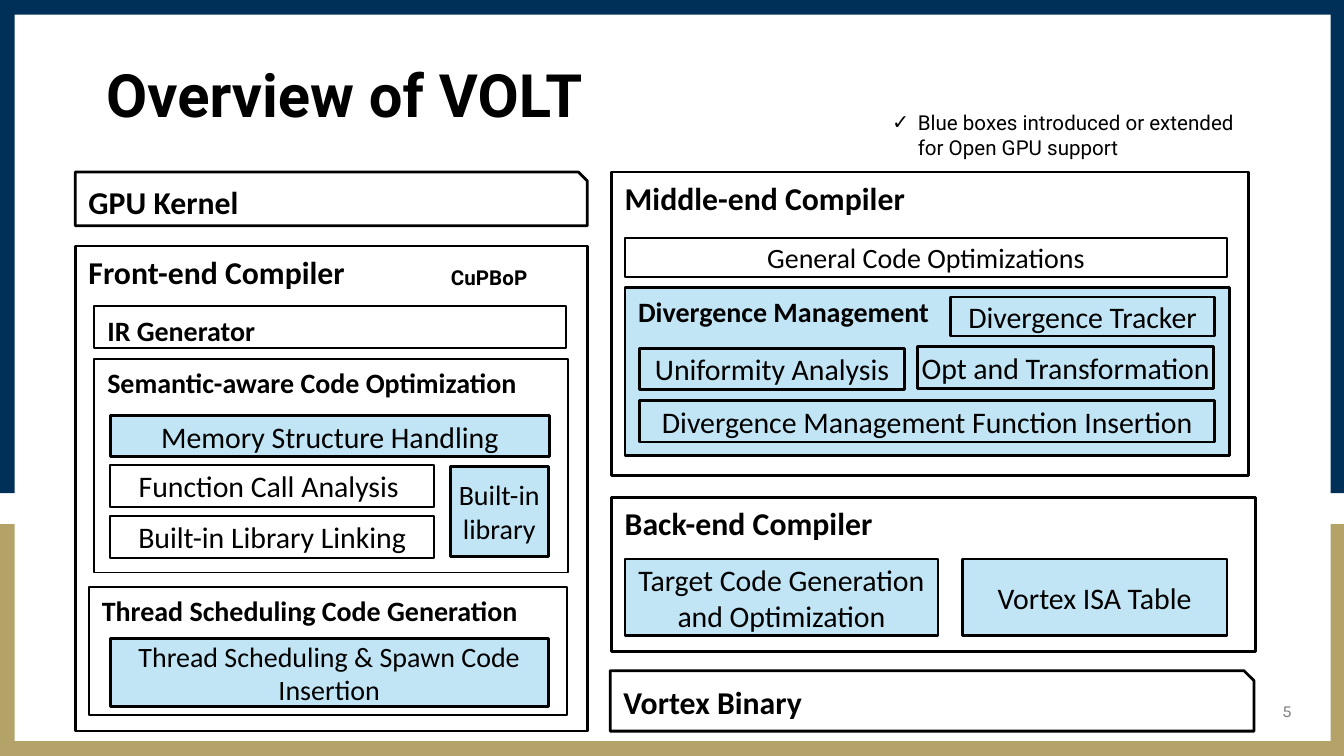
"""Build the compiler overview slide: a framed page with nested component boxes."""
import pptx
import pptx.util
import pptx.dml.color
import pptx.enum.shapes
import pptx.enum.text
import lxml.etree

Inches = pptx.util.Inches
Pt = pptx.util.Pt
RGB = pptx.dml.color.RGBColor.from_string
SHAPES = pptx.enum.shapes.MSO_SHAPE
ANCHOR = pptx.enum.text.MSO_ANCHOR
ALIGN = pptx.enum.text.PP_ALIGN

WIDTH = 10
HEIGHT = WIDTH * 9 / 16

THEME = {
    "navy": "003057", "gold": "B3A369", "blue": "C1E5F5", "white": "FFFFFF",
    "black": "000000", "gray": "797979",
    "thin": 1, "thick": 1.5, "edge": 0.11, "inset": (0.1, 0.05),
    "title": {"name": "Roboto", "size": 32, "bold": True, "color": "black"},
    "note": {"name": "Roboto", "size": 11, "bold": False, "color": "black"},
    "tag": {"name": "Roboto", "size": 11, "bold": True, "color": "black"},
    "number": {"name": "Karla", "size": 9, "bold": False, "color": "gray"},
    "stage": {"name": "Calibri", "size": 17, "bold": True, "color": "black"},
    "group": {"name": "Calibri", "size": 15, "bold": True, "color": "black"},
    "item": {"name": "Calibri", "size": 16, "bold": False, "color": "black"},
    "small": {"name": "Calibri", "size": 15, "bold": False, "color": "black"},
}

TITLE = ("Overview of VOLT", (0.69, 0.3, 8.62, 0.86))
NOTE = ("Blue boxes introduced or extended for Open GPU support", (6.54, 0.77, 2.78, 0.47))
TAG = ("CuPBoP", (3.17, 1.92, 0.94, 0.29))
NUMBER = ("5", (7.46, 5.14, 2.25, 0.3))

FILES = [
    ("GPU Kernel", (0.56, 1.28, 3.81, 0.4)),
    ("Vortex Binary", (4.54, 4.99, 4.79, 0.45)),
]
STAGES = [
    ("Front-end Compiler", (0.56, 1.83, 3.81, 3.61)),
    ("Middle-end Compiler", (4.55, 1.28, 4.74, 2.26)),
    ("Back-end Compiler", (4.55, 3.7, 4.79, 1.15)),
]
GROUPS = [
    ("IR Generator", (0.7, 2.28, 3.51, 0.31), "white"),
    ("Semantic-aware Code Optimization", (0.7, 2.67, 3.53, 1.59), "white"),
    ("Thread Scheduling Code Generation", (0.66, 4.37, 3.56, 0.95), "white"),
    ("Divergence Management", (4.65, 2.14, 4.5, 1.25), "blue"),
]
ITEMS = [
    ("Memory Structure Handling", (0.82, 3.09, 3.27, 0.31), "blue"),
    ("Function Call Analysis ", (0.82, 3.46, 2.41, 0.31), "white"),
    ("Built-in Library Linking", (0.82, 3.84, 2.41, 0.31), "white"),
    ("Divergence Tracker", (7.07, 2.21, 1.97, 0.29), "blue"),
    ("Uniformity Analysis", (4.76, 2.59, 1.97, 0.31), "blue"),
    ("Opt and Transformation", (6.83, 2.58, 2.2, 0.31), "blue"),
    ("Divergence Management Function Insertion", (4.76, 2.98, 4.28, 0.31), "blue"),
    ("Target Code Generation and Optimization", (4.65, 4.16, 2.33, 0.57), "blue"),
    ("Vortex ISA Table", (7.16, 4.16, 1.97, 0.57), "blue"),
]
SMALL_ITEMS = [
    ("Built-in library", (3.35, 3.47, 0.73, 0.67), "blue", (0, 0)),
    ("General Code Optimizations", (4.65, 1.77, 4.48, 0.29), "white", (0, 0)),
    ("Thread Scheduling & Spawn Code Insertion", (0.82, 4.75, 3.26, 0.51), "blue", (0, 0.05)),
]


def write(box, text, style, align=ALIGN.LEFT, anchor=ANCHOR.TOP, inset=THEME["inset"]):
    """Put one styled paragraph in a box and return the paragraph."""
    side, end = (Inches(value) for value in inset)
    frame = box.text_frame
    layout = {
        "word_wrap": True, "auto_size": pptx.enum.text.MSO_AUTO_SIZE.NONE,
        "vertical_anchor": anchor, "margin_left": side, "margin_right": side,
        "margin_top": end, "margin_bottom": end,
    }
    for name, value in layout.items():
        setattr(frame, name, value)
    para = frame.paragraphs[0]
    para.alignment = align
    span = para.add_run()
    span.text = text
    look = THEME[style]
    for name, value in {**look, "size": Pt(look["size"])}.items():
        if name != "color":
            setattr(span.font, name, value)
    span.font.color.rgb = RGB(THEME[look["color"]])
    return para


def add_box(page, place, fill, line=None, kind=SHAPES.RECTANGLE):
    """Draw a filled shape with an optional black outline."""
    box = page.shapes.add_shape(kind, *map(Inches, place))
    box.shadow.inherit = False
    box.fill.solid()
    box.fill.fore_color.rgb = RGB(THEME[fill])
    if line:
        box.line.color.rgb = RGB(THEME["black"])
        box.line.width = Pt(THEME[line])
    else:
        box.line.fill.background()
    return box


def add_label(page, label, style, **options):
    """Add a plain text box from a (text, place) pair."""
    text, place = label
    return write(page.shapes.add_textbox(*map(Inches, place)), text, style, **options)


def add_item(page, text, place, fill, style, inset):
    """Add a component box with centred text."""
    line = "thick" if fill == "blue" else "thin"
    write(add_box(page, place, fill, line), text, style, ALIGN.CENTER, ANCHOR.MIDDLE, inset)


def add_bullet(para, mark, indent):
    """Give a paragraph a hanging bullet in the note font."""
    properties = para._p.get_or_add_pPr()
    properties.set("marL", str(Inches(indent)))
    properties.set("indent", str(-Inches(indent)))
    space = "{http://schemas.openxmlformats.org/drawingml/2006/main}"
    font = lxml.etree.SubElement(properties, space + "buFont")
    font.set("typeface", THEME["note"]["name"])
    lxml.etree.SubElement(properties, space + "buChar").set("char", mark)


def add_frame(page):
    """Draw the navy and gold border around the page."""
    edge = THEME["edge"]
    for left in (0, WIDTH - edge + 0.01):
        add_box(page, (left, 0, edge, 3.67), "navy")
        add_box(page, (left, 3.9, edge, HEIGHT - 3.9), "gold")
    add_box(page, (0, 0, WIDTH, edge), "navy")
    add_box(page, (0, HEIGHT - edge, WIDTH, edge), "gold")


def build():
    """Assemble and save the deck."""
    deck = pptx.Presentation()
    deck.slide_width, deck.slide_height = Inches(WIDTH), Inches(HEIGHT)
    page = deck.slides.add_slide(deck.slide_layouts[5])

    text, place = TITLE
    title = page.shapes.title
    title.left, title.top, title.width, title.height = map(Inches, place)
    write(title, text, "title", anchor=ANCHOR.MIDDLE).line_spacing = 0.9

    add_frame(page)
    for text, place in STAGES:
        write(add_box(page, place, "white", "thick"), text, "stage")
    for text, place in FILES:
        box = add_box(page, place, "white", "thick", SHAPES.SNIP_1_RECTANGLE)
        write(box, text, "stage")
    for text, place, fill in GROUPS:
        line = "thick" if fill == "blue" else "thin"
        write(add_box(page, place, fill, line), text, "group")
    for text, place, fill in ITEMS:
        add_item(page, text, place, fill, "item", (0, 0.05))
    for text, place, fill, inset in SMALL_ITEMS:
        add_item(page, text, place, fill, "small", inset)

    add_label(page, TAG, "tag", align=ALIGN.CENTER)
    add_label(page, NUMBER, "number", align=ALIGN.RIGHT, anchor=ANCHOR.MIDDLE)
    add_bullet(add_label(page, NOTE, "note"), "✓", 0.19)
    deck.save("out.pptx")


if __name__ == "__main__":
    build()
